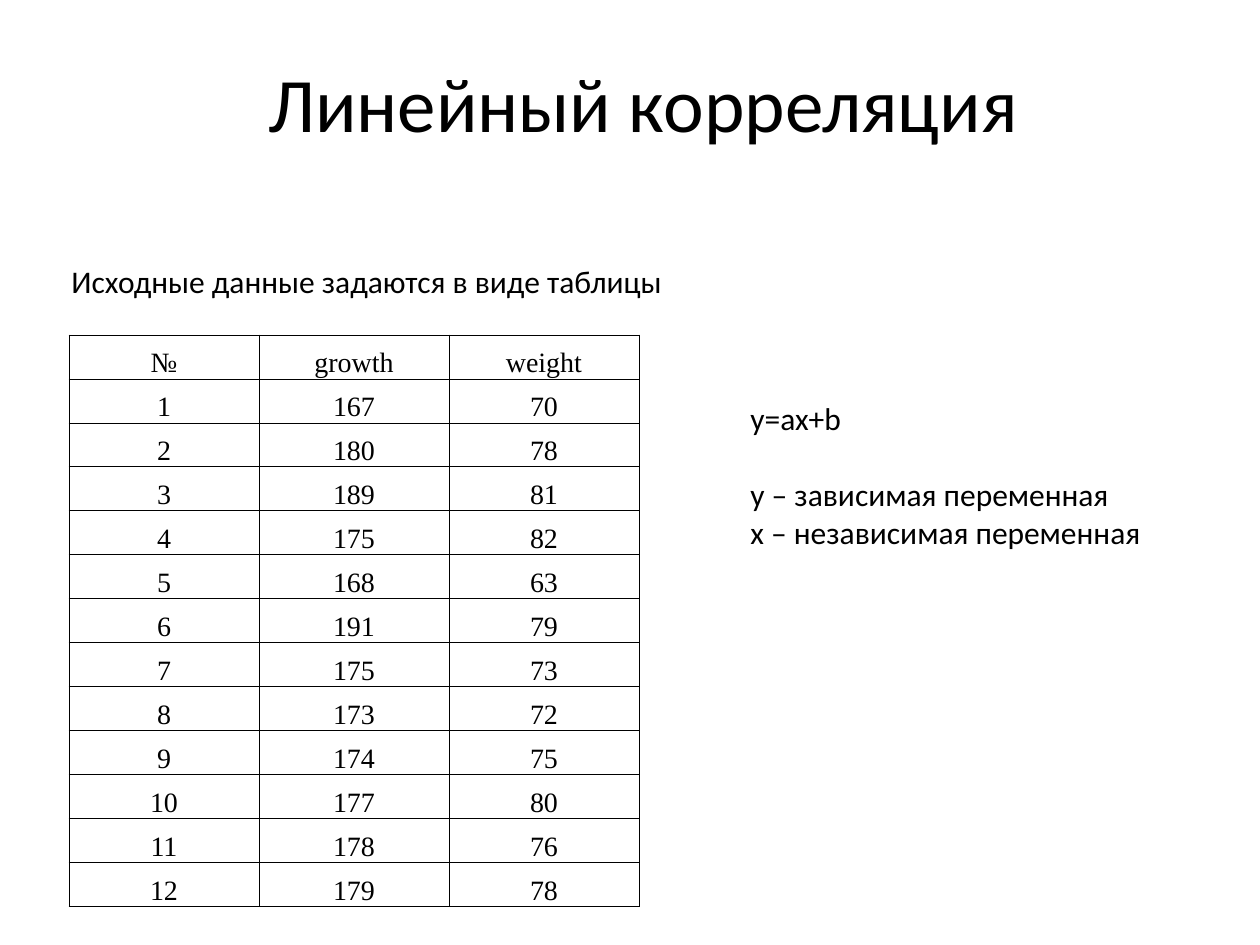
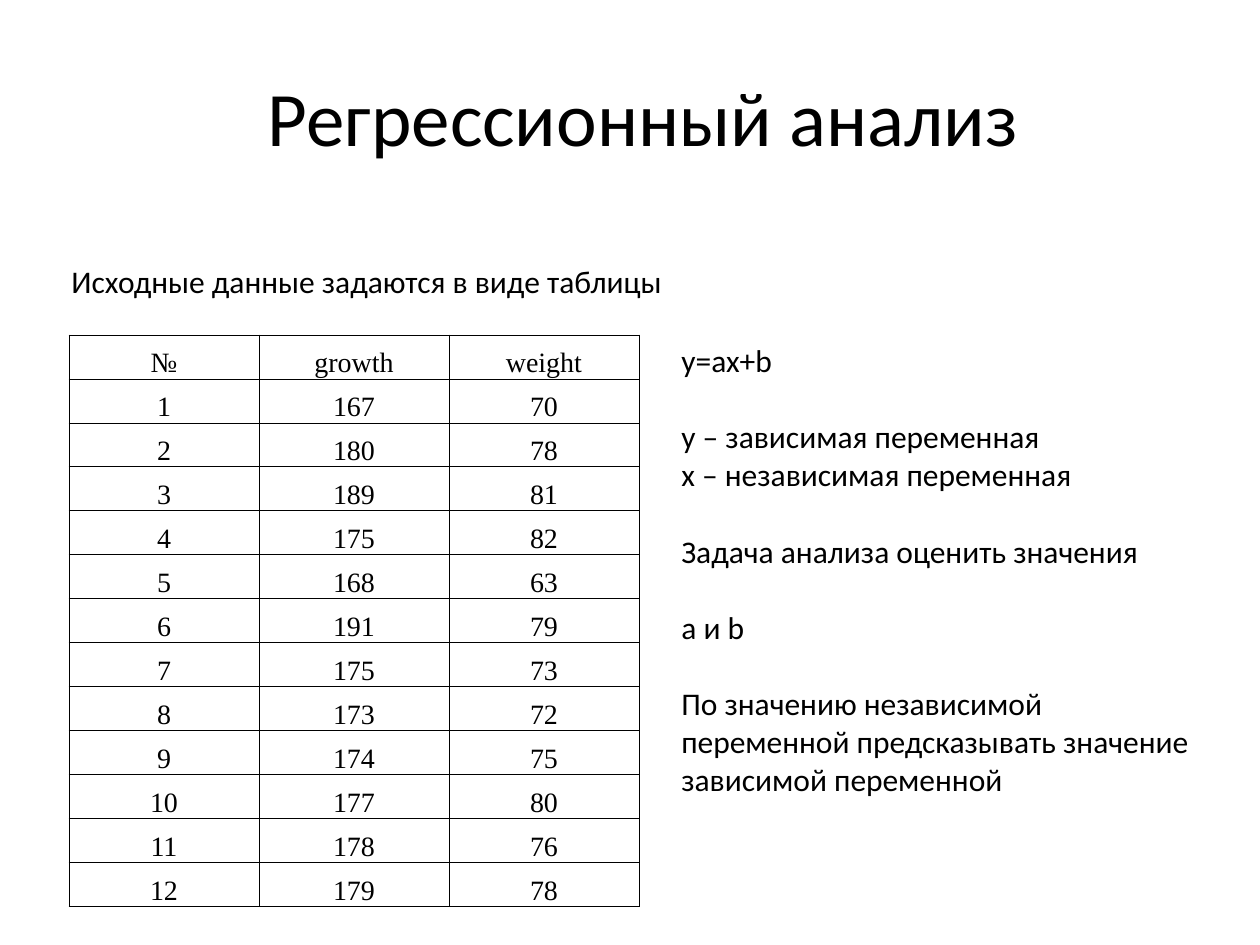
from pptx import Presentation
from pptx import util as u
from pptx.dml.color import RGBColor
from pptx.enum import text
from pptx.oxml import parse_xml
from pptx.oxml.ns import nsdecls

BLACK = RGBColor(0x00, 0x00, 0x00)
BODY_FONT = "Calibri"
TABLE_FONT = "Times New Roman"
EMU_PER_PX = u.Inches(1) / 126
BLANK_LINE = 22  # points, one line of 18 pt body text

MEASUREMENTS = [
    ("№", "growth", "weight"),
    (1, 167, 70), (2, 180, 78), (3, 189, 81), (4, 175, 82),
    (5, 168, 63), (6, 191, 79), (7, 175, 73), (8, 173, 72),
    (9, 174, 75), (10, 177, 80), (11, 178, 76), (12, 179, 78),
]
# Each paragraph: wording and whether a gap precedes it
MODEL = [
    ("y=ax+b", False),
    ("y – зависимая переменная", True),
    ("x – независимая переменная", False),
]
TASK = [
    ("Задача анализа оценить значения", True),
    ("a и b", True),
    ("По значению независимой переменной предсказывать "
     "значение зависимой переменной", True),
]


def px(length):
    return u.Emu(round(length * EMU_PER_PX))


def write(paragraph, wording, size=18, font=BODY_FONT, color=BLACK,
          align=text.PP_ALIGN.LEFT, before=0):
    paragraph.alignment = align
    paragraph.space_before = u.Pt(before)
    run = paragraph.add_run()
    run.text = str(wording)
    run.font.size = u.Pt(size)
    run.font.name = font
    run.font.color.rgb = color


class Deck:
    def __init__(self):
        self.prs = Presentation()
        self.prs.slide_width, self.prs.slide_height = px(1260), px(945)
        self.slide = None

    def new_slide(self, heading, top):
        self.slide = self.prs.slides.add_slide(self.prs.slide_layouts[5])
        title = self.slide.shapes.title
        title.left, title.top = px(108), px(top)
        title.width, title.height = px(1071), px(203)
        frame = title.text_frame
        frame.auto_size = text.MSO_AUTO_SIZE.NONE
        frame.vertical_anchor = text.MSO_ANCHOR.MIDDLE
        write(frame.paragraphs[0], heading, size=44,
              align=text.PP_ALIGN.CENTER)

    def text_box(self, lines, left, top, width, height, wrap=False):
        box = self.slide.shapes.add_textbox(
            px(left), px(top), px(width), px(height))
        frame = box.text_frame
        frame.word_wrap = wrap
        frame.auto_size = text.MSO_AUTO_SIZE.SHAPE_TO_FIT_TEXT
        for i, (wording, gap) in enumerate(lines):
            paragraph = frame.add_paragraph() if i else frame.paragraphs[0]
            write(paragraph, wording, before=BLANK_LINE if gap else 0)

    def table(self, rows, left, top, col_width, row_height):
        count, cols = len(rows), len(rows[0])
        grid = self.slide.shapes.add_table(
            count, cols, px(left), px(top),
            px(col_width * cols), px(row_height * count)).table
        grid.first_row = grid.horz_banding = False
        for r, row in enumerate(rows):
            grid.rows[r].height = px(row_height)
            for c, value in enumerate(row):
                self.cell(grid.cell(r, c), value)

    def cell(self, cell, value):
        cell.margin_left = cell.margin_right = cell.margin_top = px(1)
        cell.margin_bottom = 0
        cell.vertical_anchor = text.MSO_ANCHOR.BOTTOM
        write(cell.text_frame.paragraphs[0], value, size=16,
              font=TABLE_FONT, align=text.PP_ALIGN.CENTER)
        # Borders come before the fill in the cell properties
        properties = cell._tc.get_or_add_tcPr()
        for side in ("lnL", "lnR", "lnT", "lnB"):
            properties.append(parse_xml(
                f'<a:{side} {nsdecls("a")} w="{u.Pt(0.5)}"><a:solidFill>'
                f'<a:srgbClr val="{BLACK}"/></a:solidFill></a:{side}>'))
        cell.fill.background()

    def source_data(self):
        self.text_box([("Исходные данные задаются в виде таблицы", False)],
                      59, 256, 638, 50)
        self.table(MEASUREMENTS, 69, 335, col_width=190, row_height=44)


def main():
    deck = Deck()

    # Linear correlation
    deck.new_slide("Линейный корреляция", top=0)
    deck.source_data()
    deck.text_box(MODEL, 738, 393, 421, 165)

    # Regression analysis
    deck.new_slide("Регрессионный анализ", top=14)
    deck.source_data()
    deck.text_box(MODEL + TASK, 669, 335, 542, 471, wrap=True)

    deck.prs.save("out.pptx")


if __name__ == "__main__":
    main()
